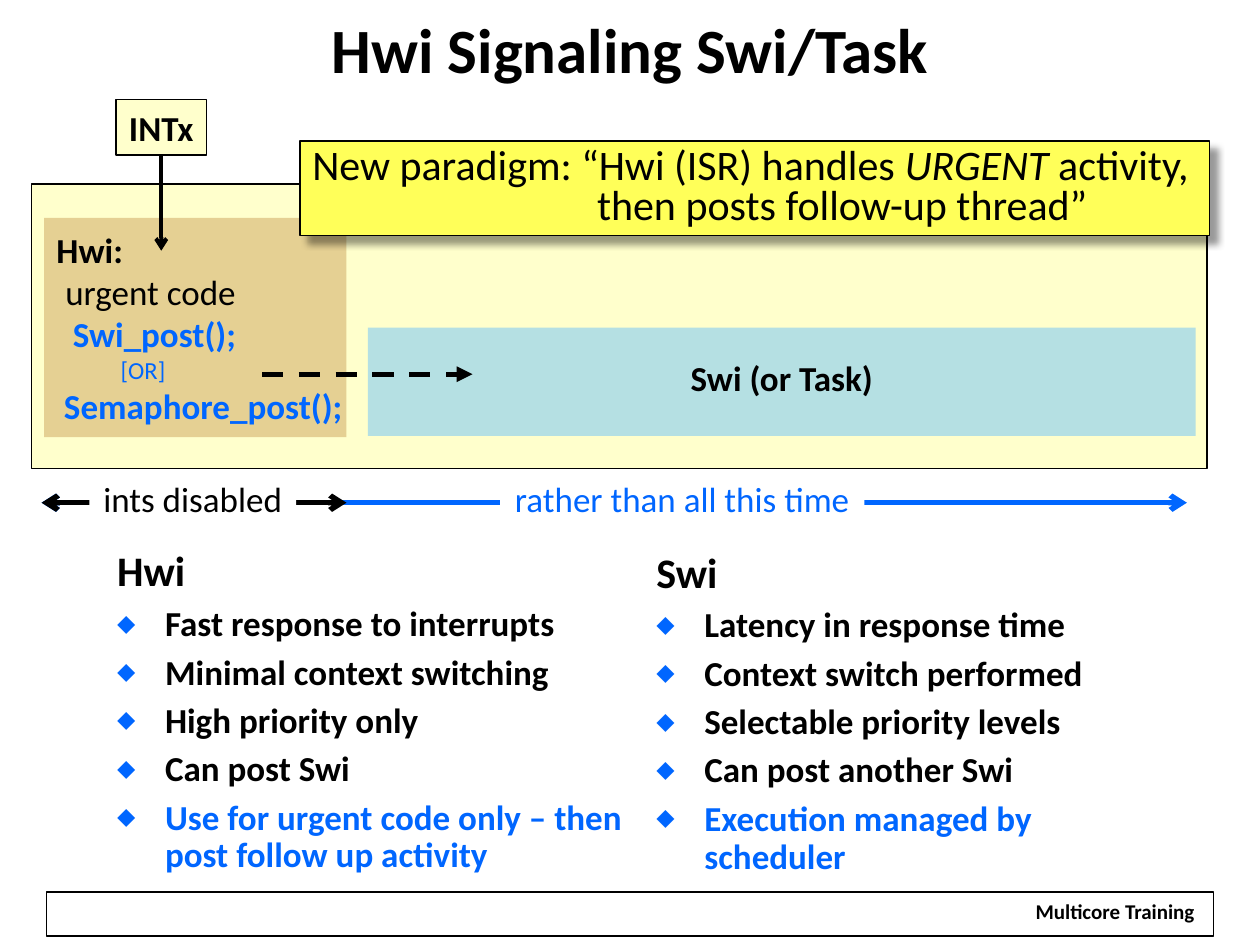
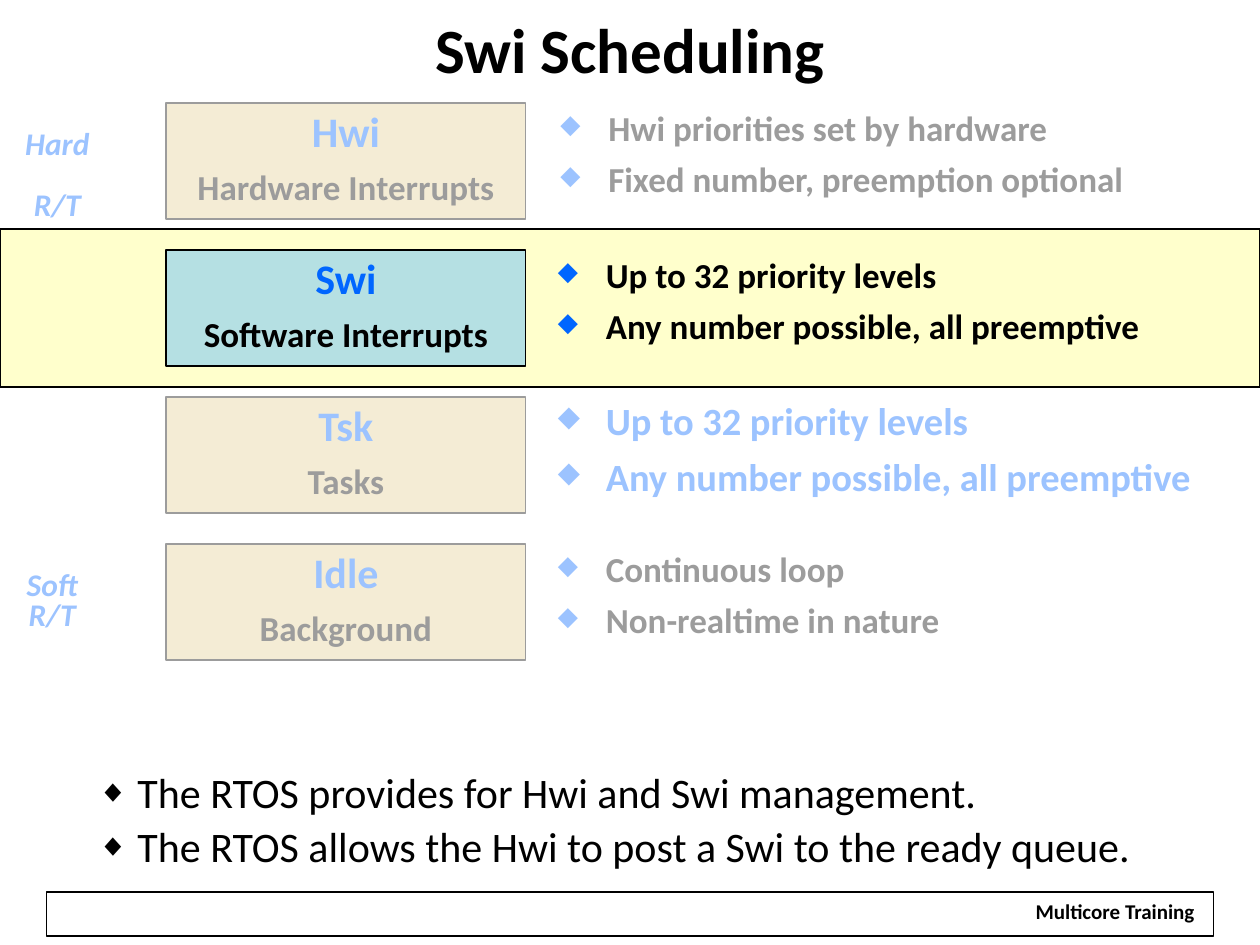
from dataclasses import dataclass
from typing import Any, NamedTuple, Optional

from lxml import etree
from pptx import Presentation
from pptx.dml.color import RGBColor
from pptx.enum.dml import MSO_LINE
from pptx.enum.shapes import MSO_CONNECTOR, MSO_SHAPE
from pptx.enum.text import MSO_ANCHOR, MSO_AUTO_SIZE, PP_ALIGN
from pptx.oxml.ns import qn
from pptx.util import Inches, Pt

# Constants
RECT, PROCESS = MSO_SHAPE.RECTANGLE, MSO_SHAPE.FLOWCHART_PROCESS
LEFT, CENTER = PP_ALIGN.LEFT, PP_ALIGN.CENTER
TOP, MIDDLE = MSO_ANCHOR.TOP, MSO_ANCHOR.MIDDLE
STRAIGHT, DASH = MSO_CONNECTOR.STRAIGHT, MSO_LINE.DASH
FIXED = MSO_AUTO_SIZE.NONE
FONT = "Calibri"
COLORS = {
    "black": "000000",
    "white": "FFFFFF",
    "blue": "0066FF",
    "cream": "FFFFCC",
    "tan": "E5D093",
    "aqua": "B5E0E3",
    "yellow": "FFFF59",
}


class Spot(NamedTuple):
    x: float
    y: float
    w: float
    h: float


@dataclass
class Run:
    text: str
    size: float = 20
    color: str = "black"
    bold: bool = False
    italic: bool = False


@dataclass
class Para:
    runs: list[Run]
    align: Any = LEFT
    lead: float = 0.8
    gap: float = 0
    left: float = 0
    hang: float = 0
    mark: str = ""
    tint: str = "blue"


@dataclass
class Arrow:
    start: tuple[float, float]
    end: tuple[float, float]
    color: str = "black"
    width: float = 3
    head: str = ""
    tail: str = "arrow"
    dash: Any = None


@dataclass
class Row:
    name: str
    note: str
    fill: str
    spot: Spot
    items: tuple[str, str]
    size: float = 20
    color: str = "black"


# Shared helpers
def assign(target: Any, values: dict[str, Any]) -> None:
    for key, value in values.items():
        setattr(target, key, value)


def rgb(name: str) -> RGBColor:
    return RGBColor.from_string(COLORS[name])


def sub(parent: Any, tag: str, **attrs: Any) -> Any:
    return etree.SubElement(parent, qn(tag), {k: str(v) for k, v in attrs.items()})


def place(shape: Any, spot: Spot) -> None:
    names = ("left", "top", "width", "height")
    assign(shape, dict(zip(names, map(Inches, spot))))


def set_mark(para: Any, item: Para) -> None:
    props = para._p.get_or_add_pPr()
    props.set("marL", str(Inches(item.left)))
    props.set("indent", str(-Inches(item.hang)))
    if not item.mark:
        sub(props, "a:buNone")
        return
    sub(sub(props, "a:buClr"), "a:srgbClr", val=COLORS[item.tint])
    sub(props, "a:buSzPct", val=75000)
    sub(props, "a:buChar", char=item.mark)


def write(shape: Any, paras: list[Para], anchor: Any = TOP, **frame: Any) -> None:
    box = shape.text_frame
    base = {"word_wrap": paras[0].align == LEFT, "auto_size": FIXED,
            "vertical_anchor": anchor}
    assign(box, base | frame)
    for i, item in enumerate(paras):
        para = box.add_paragraph() if i else box.paragraphs[0]
        set_mark(para, item)
        assign(para, {"alignment": item.align, "line_spacing": item.lead,
                      "space_before": Pt(item.gap if i else 0)})
        for part in item.runs:
            run = para.add_run()
            run.text = part.text
            assign(run.font, {"name": FONT, "size": Pt(part.size),
                              "bold": part.bold, "italic": part.italic})
            run.font.color.rgb = rgb(part.color)


def add_box(slide: Any, spot: Spot, fill: str = "", line: float = 0,
            kind: Any = RECT) -> Any:
    shape = slide.shapes.add_shape(kind, *map(Inches, spot))
    shape.shadow.inherit = False
    if fill:
        shape.fill.solid()
        shape.fill.fore_color.rgb = rgb(fill)
    else:
        shape.fill.background()
    if line:
        shape.line.color.rgb = rgb("black")
        shape.line.width = Pt(line)
    else:
        shape.line.fill.background()
    return shape


def add_text(slide: Any, spot: Spot, paras: list[Para], **frame: Any) -> None:
    write(slide.shapes.add_textbox(*map(Inches, spot)), paras, **frame)


def add_arrow(slide: Any, arrow: Arrow) -> Any:
    ends = map(Inches, arrow.start + arrow.end)
    link = slide.shapes.add_connector(STRAIGHT, *ends)
    link.line.color.rgb = rgb(arrow.color)
    link.line.width = Pt(arrow.width)
    if arrow.dash:
        link.line.dash_style = arrow.dash
    props = link.element.spPr
    stroke = props.find(qn("a:ln"))
    for tag, kind in (("a:headEnd", arrow.head), ("a:tailEnd", arrow.tail)):
        if kind:
            sub(stroke, tag, type=kind)
    sub(props, "a:effectLst")
    return link


def one(text: str, size: float = 20, color: str = "black", bold: bool = False,
        **style: Any) -> Para:
    return Para([Run(text, size, color, bold)], **({"align": CENTER} | style))


def new_slide(deck: Any, layout: int, title: str) -> Any:
    slide = deck.slides.add_slide(deck.slide_layouts[layout])
    place(slide.shapes.title, Spot(0, 0, 10, 0.81))
    write(slide.shapes.title, [one(title, 36, bold=True, lead=1.0)], MIDDLE,
          margin_bottom=Inches(0.1))
    # Footer
    add_box(slide, Spot(0.37, 7.08, 9.26, 0.35), line=0.75)
    label = add_box(slide, Spot(8.11, 7.12, 1.48, 0.26), "white")
    write(label, [one("Multicore Training", 12, bold=True)])
    return slide


# Slide 1: signaling
def list_side(slide: Any, index: int, spot: Spot, head: str,
              items: list[str]) -> None:
    paras = [one(head, 24, bold=True, align=LEFT, lead=0.9)]
    for item in items:
        color = "blue" if item == items[-1] else "black"
        paras.append(one(item, 20, color, True, align=LEFT, lead=0.9, gap=6,
                         left=0.38, hang=0.38, mark="⬥"))
    body = slide.placeholders[index]
    place(body, spot)
    write(body, paras)


def signal_slide(deck: Any) -> None:
    slide = new_slide(deck, 3, "Hwi Signaling Swi/Task")
    add_box(slide, Spot(0.25, 1.46, 9.33, 2.26), "cream", 1)
    intx = add_box(slide, Spot(0.92, 0.79, 0.72, 0.44), "cream", 0.75, PROCESS)
    write(intx, [one("INTx", bold=True, lead=1.0)], MIDDLE)

    # Code and thread blocks
    code = [
        ("Hwi:", 20, "black", True, 0),
        ("urgent code", 20, "black", False, 0.07),
        ("Swi_post();", 20, "blue", True, 0.13),
        ("[OR]", 14, "blue", False, 0.51),
        ("Semaphore_post();", 20, "blue", True, 0.06),
    ]
    hwi = add_box(slide, Spot(0.35, 1.73, 2.4, 1.74), "tan")
    write(hwi, [one(*look, align=LEFT, lead=1.0, left=left)
                for *look, left in code], MIDDLE, margin_right=0)
    swi = add_box(slide, Spot(2.92, 2.6, 6.57, 0.86), "aqua")
    write(swi, [one("Swi (or Task)", bold=True)], MIDDLE)

    # Time line
    for end, color in ((9.42, "blue"), (2.75, "black")):
        add_arrow(slide, Arrow((0.33, 3.99), (end, 3.99), color, head="arrow"))
    for text, x, w, color in (("ints disabled", 0.71, 1.64, "black"),
                              ("rather than all this time", 3.97, 2.89, "blue")):
        label = add_box(slide, Spot(x, 3.8, w, 0.37), "white")
        write(label, [one(text, color=color)], MIDDLE)

    # Two lists
    list_side(slide, 1, Spot(0.83, 4.32, 4.25, 2.7), "Hwi", [
        "Fast response to interrupts", "Minimal context switching",
        "High priority only", "Can post Swi",
        "Use for urgent code only – then post follow up activity"])
    list_side(slide, 2, Spot(5.11, 4.33, 4.25, 2.69), "Swi", [
        "Latency in response time", "Context switch performed",
        "Selectable priority levels", "Can post another Swi",
        "Execution managed by scheduler"])

    # Signals
    add_arrow(slide, Arrow((2.08, 2.97), (3.75, 2.97), tail="triangle", dash=DASH))
    drop = add_arrow(slide, Arrow((1.28, 1.23), (1.28, 1.99), width=2.25))
    drop.begin_connect(intx, 2)

    # Callout
    note = add_box(slide, Spot(2.38, 1.12, 7.22, 0.75), "yellow", 1)
    glow = sub(note.element.spPr.find(qn("a:effectLst")), "a:outerShdw",
               blurRad=Pt(4), dist=Pt(6), dir=45 * 60000, algn="tl", rotWithShape=0)
    sub(sub(glow, "a:srgbClr", val=COLORS["black"]), "a:alpha", val=40000)
    write(note, [
        Para([Run("New paradigm: “Hwi (ISR) handles ", 24),
              Run("URGENT ", 24, italic=True), Run("activity,", 24)]),
        one("then posts follow-up thread”", 24, align=LEFT, left=2.26),
    ], MIDDLE)


# Slide 2: scheduling
ROWS = [
    Row("Hwi", "Hardware Interrupts", "tan", Spot(4.35, 0.86, 4.8, 0.8),
        ("Hwi priorities set by hardware", "Fixed number, preemption optional")),
    Row("Swi", "Software Interrupts", "aqua", Spot(4.33, 2.03, 4.93, 0.8),
        ("Up to 32 priority levels", "Any number possible, all preemptive")),
    Row("Tsk", "Tasks", "tan", Spot(4.33, 3.17, 5.37, 0.87),
        ("Up to 32 priority levels", "Any number possible, all preemptive"),
        22, "blue"),
    Row("Idle", "Background", "tan", Spot(4.33, 4.36, 3.3, 0.8),
        ("Continuous loop", "Non-realtime in nature")),
]


def plan_slide(deck: Any) -> None:
    slide = new_slide(deck, 1, "Swi Scheduling")
    add_box(slide, Spot(0, 1.82, 10, 1.25), "cream", 1)

    # Thread kinds, at an equal pitch
    first, last = 0.82, 4.32
    pitch = (last - first) / (len(ROWS) - 1)
    for i, row in enumerate(ROWS):
        box = add_box(slide, Spot(1.32, first + i * pitch, 2.85, 0.92), row.fill, 1)
        write(box, [one(row.name, 24, "blue", True),
                    one(row.note, bold=True, gap=10)], MIDDLE)
        add_text(slide, row.spot, [
            one(item, row.size, row.color, True, align=LEFT, gap=row.size / 2,
                left=0.38, hang=0.38, mark="◆") for item in row.items])

    # Time scale
    for text, spot, gap in (("Hard", Spot(0.08, 0.99, 0.75, 0.59), 17.5),
                            ("Soft", Spot(0.08, 4.49, 0.67, 0.59), 0)):
        add_text(slide, spot, [
            Para([Run(word, 18, "blue", True, True)], CENTER, gap=space)
            for word, space in ((text, 0), ("R/T", gap))])

    # Summary
    body = slide.placeholders[1]
    place(body, Spot(0.67, 6.08, 8.67, 0.93))
    write(body, [
        one(text, 24, align=LEFT, lead=0.9, gap=4.8, left=0.32, hang=0.32,
            mark="◆", tint="black")
        for text in ("The RTOS provides for Hwi and Swi management.",
                     "The RTOS allows the Hwi to post a Swi to the ready queue.")])

    # Veils over the other kinds
    for spot in (Spot(0.05, 0.68, 9.75, 1.12), Spot(0.07, 3.08, 9.75, 2.33)):
        veil = add_box(slide, spot, "white")
        paint: Optional[Any] = veil.element.spPr.find(".//" + qn("a:srgbClr"))
        sub(paint, "a:alpha", val=61000)


def main() -> None:
    deck = Presentation()
    assign(deck, {"slide_width": Inches(10), "slide_height": Inches(7.5)})
    signal_slide(deck)
    plan_slide(deck)
    deck.save("out.pptx")


if __name__ == "__main__":
    main()
